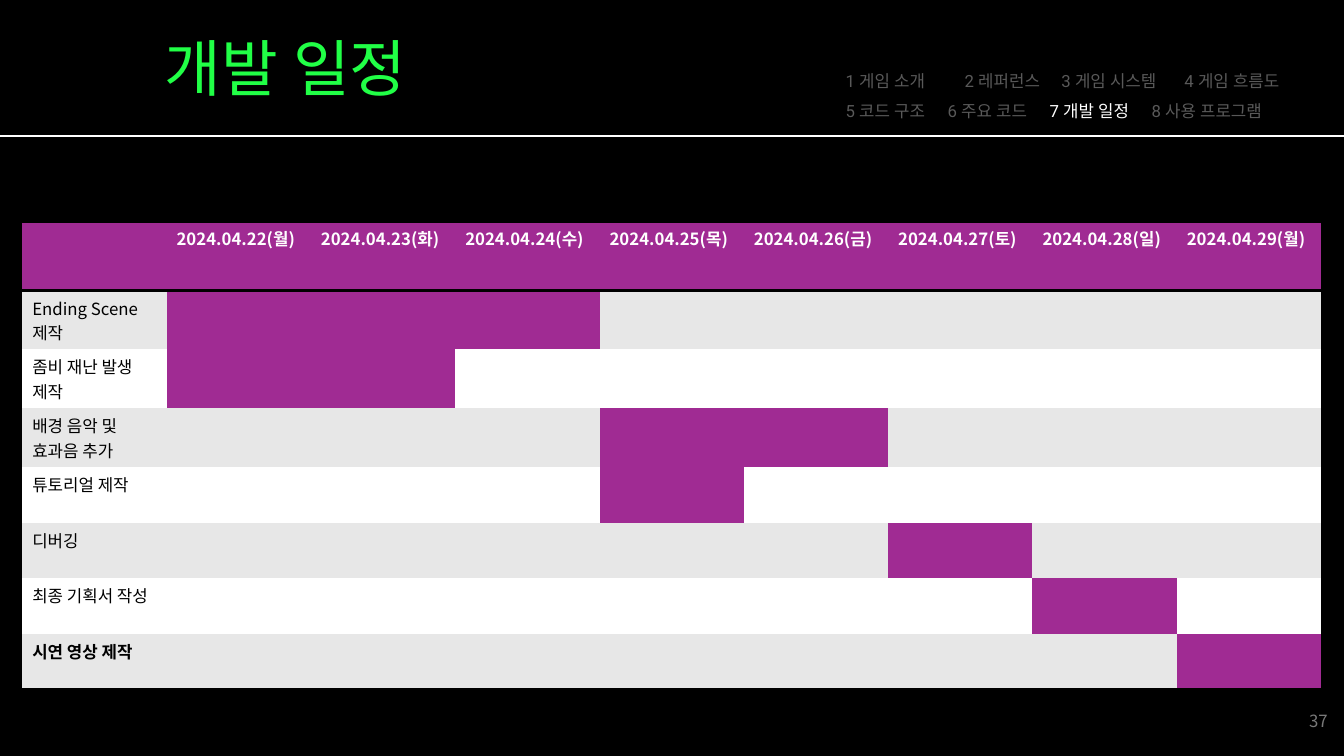
from pptx import Presentation
from pptx.dml.color import RGBColor
from pptx.enum.shapes import MSO_CONNECTOR
from pptx.enum.text import MSO_ANCHOR, PP_ALIGN
from pptx.oxml.ns import qn
from pptx.util import Cm, Pt
from lxml import etree

LEFT, RIGHT = PP_ALIGN.LEFT, PP_ALIGN.RIGHT
MIDDLE = MSO_ANCHOR.MIDDLE
STRAIGHT = MSO_CONNECTOR.STRAIGHT
NO_GRID_STYLE = "{2D5ABB26-0587-4C30-8999-92F81FD0307C}"
COLORS = {"black": "000000", "white": "FFFFFF", "green": "21FF46", "purple": "A02B93",
          "band": "E7E7E7", "dim": "595959", "number": "797979"}
TITLE = {"name": "Roboto", "size": Pt(44), "bold": False}
NAV = {"name": "Roboto", "size": Pt(12)}
BODY = {"name": "Noto Sans CJK KR", "size": Pt(12), "bold": False}
BOLD = {**BODY, "bold": True}


def add_run(p, text, fmt, color):
    r = p.add_run()
    r.text = text
    for key, value in fmt.items():
        setattr(r.font, key, value)
    r.font.color.rgb = RGBColor.from_string(COLORS[color])
    etree.SubElement(r.font._element, qn("a:ea"), typeface=fmt["name"])


def add_border(cell, side):
    tcPr = cell._tc.get_or_add_tcPr()
    ln = etree.Element(qn(f"a:{side}"), w=str(Pt(2)))
    fill = etree.SubElement(ln, qn("a:solidFill"))
    etree.SubElement(fill, qn("a:srgbClr"), val=COLORS["black"])
    tcPr.insert(0, ln)


prs = Presentation()
prs.slide_width, prs.slide_height = Cm(33.87), Cm(19.05)
s = prs.slides.add_slide(prs.slide_layouts[5])
s.background.fill.solid()
s.background.fill.fore_color.rgb = RGBColor.from_string(COLORS["black"])

# Title
sp = s.shapes.title
sp.left, sp.top, sp.width, sp.height = Cm(3.89), Cm(0.61), Cm(25.53), Cm(2.13)
sp.text_frame.vertical_anchor = MIDDLE
p = sp.text_frame.paragraphs[0]
p.alignment = LEFT
add_run(p, "개발 일정", TITLE, "green")

# Divider
line = s.shapes.add_connector(STRAIGHT, 0, Cm(3.43), prs.slide_width, Cm(3.43))
line.line.color.rgb = RGBColor.from_string(COLORS["white"])
line.line.width = Pt(1.5)
etree.SubElement(line._element.spPr, qn("a:effectLst"))

# Schedule table: label, first and last busy day
days = "월화수목금토일월"
tasks = [("Ending Scene 제작", 1, 3), ("좀비 재난 발생 제작", 1, 2),
         ("배경 음악 및\n효과음 추가", 4, 5), ("튜토리얼 제작", 4, 4),
         ("디버깅", 6, 6), ("최종 기획서 작성", 7, 7), ("시연 영상 제작", 8, 8)]
frame = s.shapes.add_table(len(tasks) + 1, len(days) + 1,
                           Cm(0.56), Cm(5.58), Cm(32.74), Cm(11.54))
tbl = frame.table
tbl._tbl.tblPr.find(qn("a:tableStyleId")).text = NO_GRID_STYLE
for i, row in enumerate(tbl.rows):
    row.height = Cm(1.4 if i else 1.74)
    label, first, last = tasks[i - 1] if i else ("", 0, len(days))
    for j, cell in enumerate(row.cells):
        color = "purple" if first <= j <= last else "band" if i % 2 else "white"
        cell.fill.solid()
        cell.fill.fore_color.rgb = RGBColor.from_string(COLORS[color])
        if i in (0, len(tasks)):
            add_border(cell, "lnB")
        if i == 0:
            add_border(cell, "lnT")
            if j:
                add_run(cell.text_frame.paragraphs[0],
                        f"2024.04.{21 + j}({days[j - 1]})", BOLD, "white")
    for k, text in enumerate(label.split("\n") if label else []):
        tf = tbl.cell(i, 0).text_frame
        p = tf.add_paragraph() if k else tf.paragraphs[0]
        add_run(p, text, BOLD if i == len(tasks) else BODY, "black")

# Page number
tf = s.shapes.add_textbox(Cm(26.09), Cm(17.65), Cm(7.62), Cm(1.02)).text_frame
tf.word_wrap = True
tf.vertical_anchor = MIDDLE
p = tf.paragraphs[0]
p.alignment = RIGHT
add_run(p, "37", BODY, "number")

# Section navigation, aligned by tab stops
nav = [((3, 5.44, 8.54), ["1 게임 소개", "2 레퍼런스", "3 게임 시스템", "4 게임 흐름도"]),
       ((2.57, 5.14, 7.71), ["5 코드 구조", "6 주요 코드", "7 개발 일정", "8 사용 프로그램"])]
tf = s.shapes.add_textbox(Cm(21.06), Cm(1.4), Cm(13.36), Cm(1.68)).text_frame
tf.word_wrap = True
for i, (stops, sections) in enumerate(nav):
    p = tf.add_paragraph() if i else tf.paragraphs[0]
    tabs = etree.SubElement(p._p.get_or_add_pPr(), qn("a:tabLst"))
    for stop in stops:
        etree.SubElement(tabs, qn("a:tab"), pos=str(Cm(stop)), algn="l")
    p.line_spacing = 1.5
    for j, section in enumerate(sections):
        color = "white" if section == "7 개발 일정" else "dim"
        add_run(p, "\t" + section if j else section, NAV, color)

prs.save("out.pptx")
